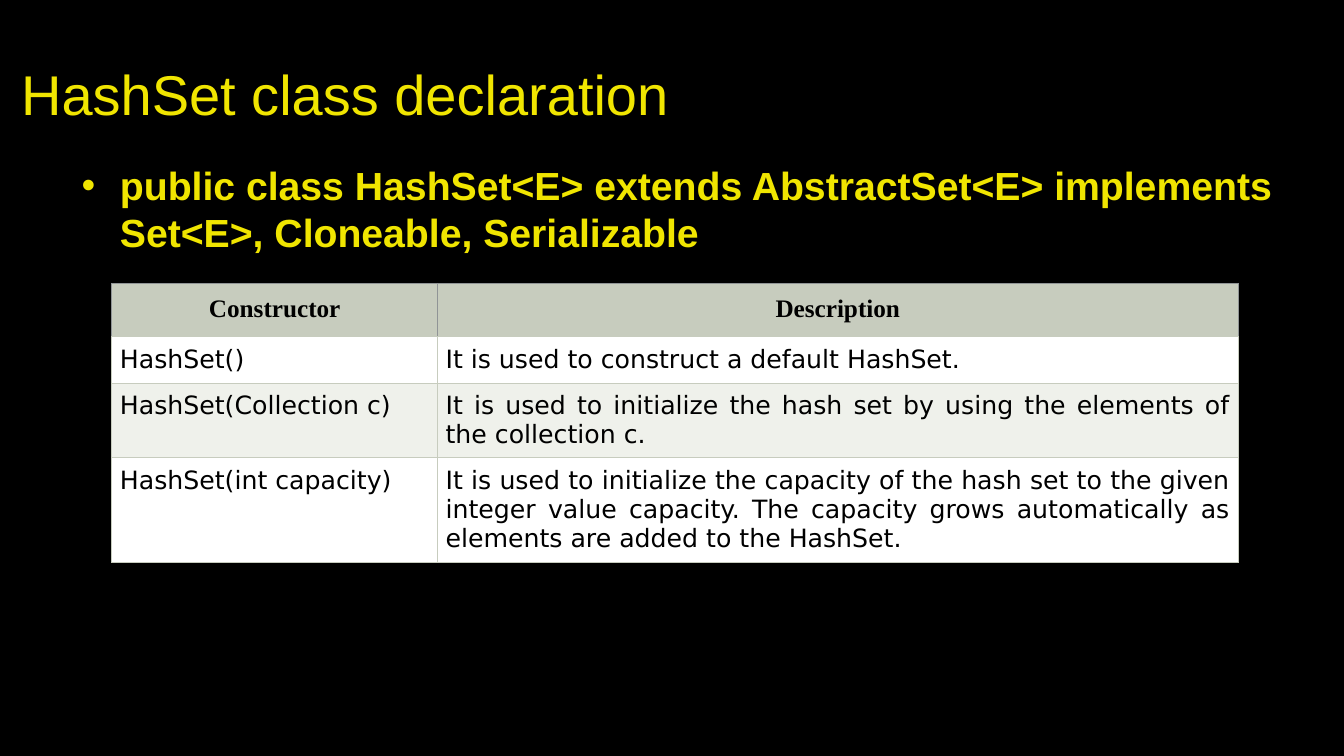
from lxml.etree import SubElement
from pptx import Presentation
from pptx.dml.color import RGBColor
from pptx.enum.text import MSO_ANCHOR, MSO_AUTO_SIZE, PP_ALIGN
from pptx.oxml.ns import qn
from pptx.util import Inches, Pt

YELLOW, BLACK, WHITE = "F0E500", "000000", "FFFFFF"
SAGE, PALE_SAGE, GREY = "C7CCBE", "EFF1EB", "909496"

CONSTRUCTORS = [
    ("Constructor", "Description"),
    ("HashSet()", "It is used to construct a default HashSet."),
    ("HashSet(Collection c)",
     "It is used to initialize the hash set by using the elements of the collection c."),
    ("HashSet(int capacity)",
     "It is used to initialize the capacity of the hash set to the given integer value "
     "capacity. The capacity grows automatically as elements are added to the HashSet."),
]
COLUMN_WIDTHS = (3.23, 7.94)
ROW_HEIGHTS = (0.53, 0.46, 0.74, 1.04)


def rgb(color):
    return RGBColor.from_string(color)


def format_paragraph(p, font, size, color, bold=False, align=PP_ALIGN.LEFT):
    p.alignment = align
    for r in p.runs:
        r.font.name = font
        r.font.size = Pt(size)
        r.font.bold = bold
        r.font.color.rgb = rgb(color)


def fill_placeholder(sp, box, text, size, anchor, bold=False):
    """Move a placeholder, set its text and return its paragraph."""
    sp.left, sp.top, sp.width, sp.height = (Inches(v) for v in box)
    tf = sp.text_frame
    tf.text = text
    tf.word_wrap = True
    tf.auto_size = MSO_AUTO_SIZE.NONE
    tf.vertical_anchor = anchor
    p = tf.paragraphs[0]
    format_paragraph(p, "Arial", size, YELLOW, bold)
    return p


def add_bullet(p, indent):
    pPr = p._p.get_or_add_pPr()
    pPr.set("marL", str(Inches(indent)))
    pPr.set("indent", str(-Inches(indent)))
    SubElement(pPr, qn("a:buFont"), typeface="Arial")
    SubElement(pPr, qn("a:buChar"), char="•")


def set_borders(cell, colors):
    """Draw the left, right, top and bottom borders, in that order."""
    tcPr = cell._tc.get_or_add_tcPr()
    for side, color in zip("LRTB", colors):
        ln = SubElement(tcPr, qn(f"a:ln{side}"), w=str(Pt(0.75)))
        SubElement(SubElement(ln, qn("a:solidFill")), qn("a:srgbClr"), val=color)


def format_cell(cell, text, is_header, fill):
    cell.text = text
    inset = Inches(0.12 if is_header else 0.08)
    cell.margin_left = cell.margin_right = inset
    cell.margin_top = cell.margin_bottom = inset
    p = cell.text_frame.paragraphs[0]
    if is_header:
        format_paragraph(p, "Times New Roman", 18, BLACK, True, PP_ALIGN.CENTER)
        set_borders(cell, (GREY, GREY, GREY, SAGE))
    else:
        format_paragraph(p, "DejaVu Sans", 18, BLACK, align=PP_ALIGN.JUSTIFY)
        set_borders(cell, (SAGE,) * 4)
    cell.fill.solid()
    cell.fill.fore_color.rgb = rgb(fill)


def add_constructor_table(s):
    table = s.shapes.add_table(
        len(CONSTRUCTORS), len(COLUMN_WIDTHS), Inches(1.11), Inches(2.81),
        Inches(sum(COLUMN_WIDTHS)), Inches(sum(ROW_HEIGHTS))).table
    for column, width in zip(table.columns, COLUMN_WIDTHS):
        column.width = Inches(width)
    for i, texts in enumerate(CONSTRUCTORS):
        table.rows[i].height = Inches(ROW_HEIGHTS[i])
        fill = SAGE if i == 0 else WHITE if i % 2 else PALE_SAGE
        for j, text in enumerate(texts):
            format_cell(table.cell(i, j), text, i == 0, fill)


def main():
    prs = Presentation()
    prs.slide_width, prs.slide_height = Inches(13.33), Inches(7.5)
    s = prs.slides.add_slide(prs.slide_layouts[1])
    s.background.fill.solid()
    s.background.fill.fore_color.rgb = rgb(BLACK)

    fill_placeholder(s.shapes.title, (0.11, 0.3, 12, 1.25),
                     "HashSet class declaration", 40, MSO_ANCHOR.MIDDLE)
    p = fill_placeholder(
        s.placeholders[1], (0.71, 1.55, 12.02, 1.06),
        "public class HashSet<E> extends AbstractSet<E> implements "
        "Set<E>, Cloneable, Serializable", 28, MSO_ANCHOR.TOP, bold=True)
    p.space_before = Pt(14)
    add_bullet(p, 0.38)
    add_constructor_table(s)
    prs.save("out.pptx")


if __name__ == "__main__":
    main()
